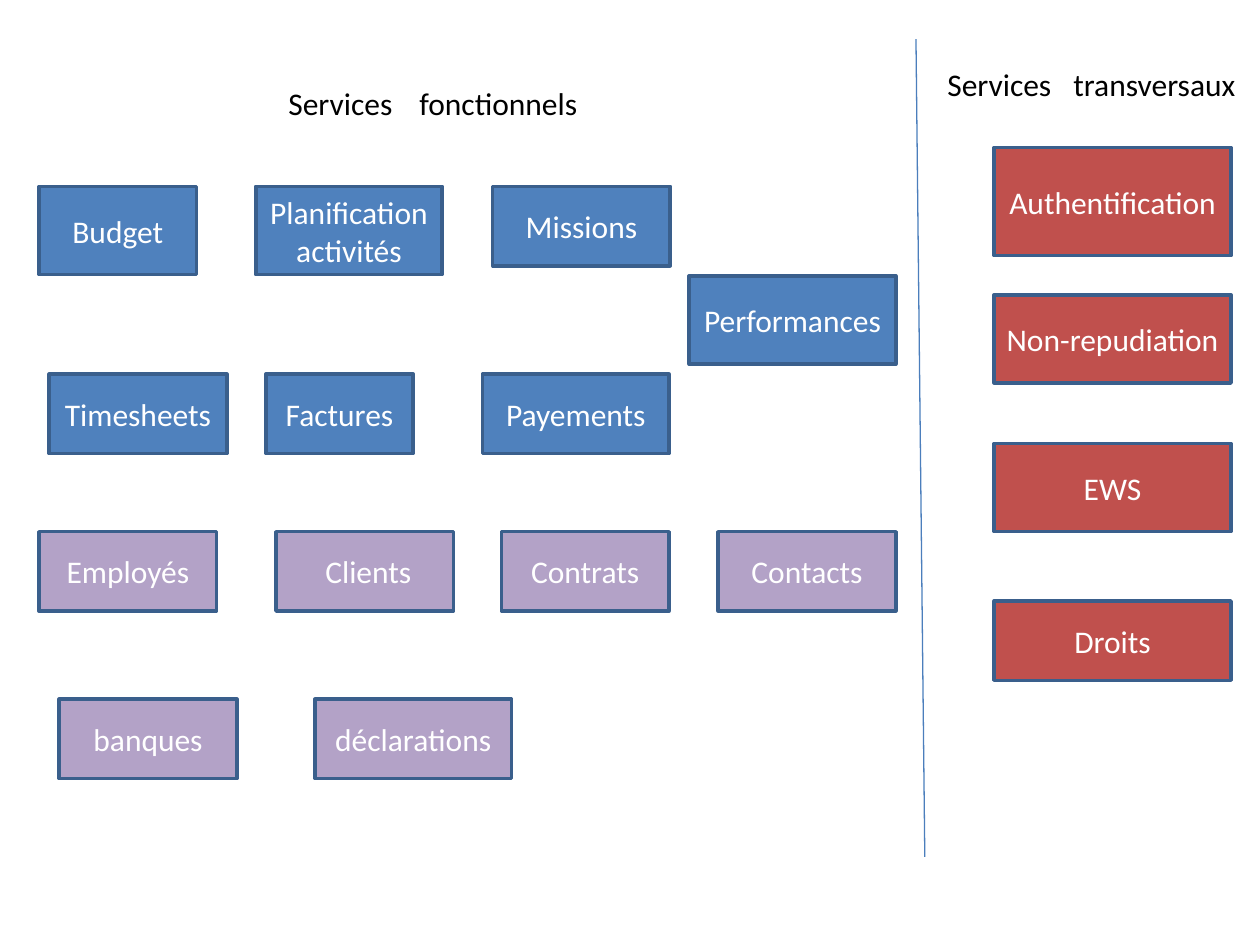
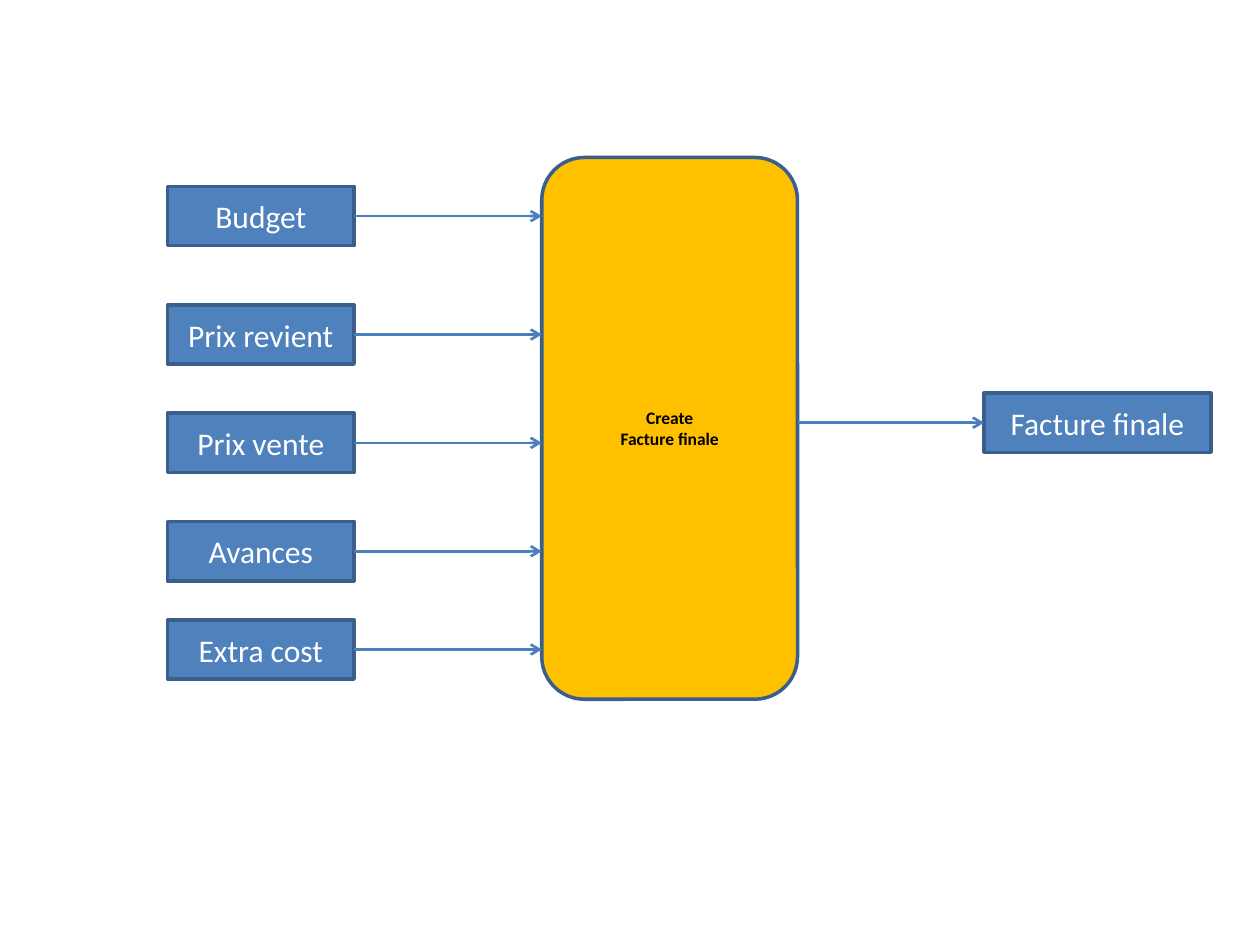
from dataclasses import dataclass

from lxml.etree import SubElement
from pptx import Presentation
from pptx.dml.color import RGBColor
from pptx.enum.shapes import MSO_CONNECTOR, MSO_SHAPE
from pptx.enum.text import MSO_ANCHOR, PP_ALIGN
from pptx.oxml.ns import qn
from pptx.shapes.autoshape import Shape
from pptx.shapes.connector import Connector
from pptx.slide import Slide
from pptx.text.text import TextFrame
from pptx.util import Inches, Pt

BLUE = RGBColor(0x4F, 0x81, 0xBD)
RED = RGBColor(0xC0, 0x50, 0x4D)
PURPLE = RGBColor(0xB3, 0xA2, 0xC7)
AMBER = RGBColor(0xFF, 0xC0, 0x00)
OUTLINE = RGBColor(0x3A, 0x5F, 0x8C)
CONNECTOR = RGBColor(0x4B, 0x7E, 0xBC)
WHITE = RGBColor(0xFF, 0xFF, 0xFF)
BLACK = RGBColor(0x00, 0x00, 0x00)

BODY = {"name": "Calibri", "size": Pt(18), "bold": False}
SMALL_BOLD = {"name": "Calibri", "size": Pt(10), "bold": True}

LEFT_SITE, RIGHT_SITE = 1, 3  # connection sites of a rectangle


@dataclass(frozen=True)
class Block:
    """A labelled box, in inches."""
    label: str
    left: float
    top: float
    width: float = 1.41
    height: float = 0.63
    fill: RGBColor = BLUE
    color: RGBColor = WHITE
    preset: MSO_SHAPE = MSO_SHAPE.RECTANGLE

    @property
    def right(self) -> float:
        return self.left + self.width

    @property
    def middle(self) -> float:
        return self.top + self.height / 2


@dataclass(frozen=True)
class Heading:
    """Two words set apart by a tab stop, in inches."""
    words: tuple[str, str]
    left: float
    top: float
    tab: float


def write(frame: TextFrame, text: str, font: dict, color: RGBColor,
          align: PP_ALIGN) -> None:
    """Write one paragraph per line of text, in one format."""
    frame.word_wrap = True
    for index, line in enumerate(text.split("\n")):
        para = frame.add_paragraph() if index else frame.paragraphs[0]
        para.alignment = align
        span = para.add_run()
        span.text = line
        span.font.color.rgb = color
        for name, value in font.items():
            setattr(span.font, name, value)


def add_block(page: Slide, block: Block, font: dict = BODY) -> Shape:
    """Draw a filled, outlined box with a centred label."""
    box = page.shapes.add_shape(
        block.preset, Inches(block.left), Inches(block.top),
        Inches(block.width), Inches(block.height))
    box.shadow.inherit = False
    box.fill.solid()
    box.fill.fore_color.rgb = block.fill
    box.line.color.rgb = OUTLINE
    box.line.width = Pt(2)
    box.text_frame.vertical_anchor = MSO_ANCHOR.MIDDLE
    write(box.text_frame, block.label, font, block.color, PP_ALIGN.CENTER)
    return box


def add_heading(page: Slide, heading: Heading) -> None:
    """Draw a column heading with its tab stop."""
    box = page.shapes.add_textbox(
        Inches(heading.left), Inches(heading.top), Inches(2.58), Inches(0.4))
    write(box.text_frame, "\t".join(heading.words), BODY, BLACK, PP_ALIGN.LEFT)
    properties = box.text_frame.paragraphs[0]._p.get_or_add_pPr()
    stops = SubElement(properties, qn("a:tabLst"))
    SubElement(stops, qn("a:tab"), pos=str(Inches(heading.tab)), algn="l")


def add_line(page: Slide, start: tuple[float, float], end: tuple[float, float],
             width: float, arrow: bool = False) -> Connector:
    """Draw a straight line, with an open arrowhead if asked."""
    line = page.shapes.add_connector(
        MSO_CONNECTOR.STRAIGHT, *(Inches(value) for value in start + end))
    line.line.color.rgb = CONNECTOR
    line.line.width = Pt(width)
    if arrow:
        SubElement(line.line._get_or_add_ln(), qn("a:tailEnd"), type="arrow")
    SubElement(line._element.spPr, qn("a:effectLst"))
    return line


HEADINGS = (
    Heading(("Services", "fonctionnels"), 2.19, 0.62, 1.04),
    Heading(("Services", "transversaux"), 7.42, 0.47, 1.0),
)

ROW_1, ROW_2, ROW_3, ROW_4 = 1.48, 2.97, 4.22, 5.55
FUNCTIONAL = (
    Block("Budget", 0.31, ROW_1, 1.25, 0.7),
    Block("Planification\nactivités", 2.03, ROW_1, 1.48, 0.7),
    Block("Missions", 3.91, ROW_1),
    Block("Performances", 5.47, 2.19, 1.64, 0.7),
    Block("Timesheets", 0.39, ROW_2),
    Block("Factures", 2.11, ROW_2, 1.17),
    Block("Payements", 3.83, ROW_2, 1.48),
    Block("Employés", 0.31, ROW_3, fill=PURPLE),
    Block(" Clients", 2.19, ROW_3, fill=PURPLE),
    Block("Contrats", 3.98, ROW_3, 1.33, fill=PURPLE),
    Block("Contacts", 5.7, ROW_3, fill=PURPLE),
    Block("banques", 0.47, ROW_4, fill=PURPLE),
    Block("déclarations", 2.5, ROW_4, 1.56, fill=PURPLE),
)
TRANSVERSAL = tuple(
    Block(label, 7.89, top, 1.88, height, RED) for label, top, height in (
        ("Authentification", 1.17, 0.86),
        ("Non-repudiation", 2.34, 0.7),
        ("EWS", 3.52, 0.7),
        ("Droits", 4.77, 0.63),
    ))

INPUTS = tuple(
    Block(label, 1.33, top, 1.48, 0.47) for label, top in (
        ("Budget", 1.48),
        ("Prix revient", 2.42),
        ("Prix vente", 3.28),
        ("Avances", 4.14),
        ("Extra cost", 4.92),
    ))
PROCESS = Block("Create\nFacture finale", 4.3, 1.25, 2.03, 4.3,
                AMBER, BLACK, MSO_SHAPE.ROUNDED_RECTANGLE)
RESULT = Block("Facture finale", 7.81, 3.12, 1.8, 0.47)


def draw_services(page: Slide) -> None:
    """Draw the functional and transversal services."""
    for block in FUNCTIONAL + TRANSVERSAL:
        add_block(page, block)
    add_line(page, (7.27, 0.31), (7.34, 6.8), 0.75)
    for heading in HEADINGS:
        add_heading(page, heading)


def draw_invoice_flow(page: Slide) -> None:
    """Draw the inputs, the process and the final invoice."""
    add_block(page, PROCESS, SMALL_BOLD)
    for block in INPUTS:
        box = add_block(page, block)
        arrow = add_line(page, (block.right, block.middle),
                         (PROCESS.left, block.middle), 1.5, arrow=True)
        arrow.begin_connect(box, RIGHT_SITE)
    box = add_block(page, RESULT)
    arrow = add_line(page, (PROCESS.right, RESULT.middle),
                     (RESULT.left, RESULT.middle), 1.5, arrow=True)
    arrow.end_connect(box, LEFT_SITE)


def main() -> None:
    """Build and save the deck."""
    deck = Presentation()
    deck.slide_width, deck.slide_height = Inches(10), Inches(7.5)
    blank = deck.slide_layouts.get_by_name("Blank")
    for draw in (draw_services, draw_invoice_flow):
        draw(deck.slides.add_slide(blank))
    deck.save("out.pptx")


main()
